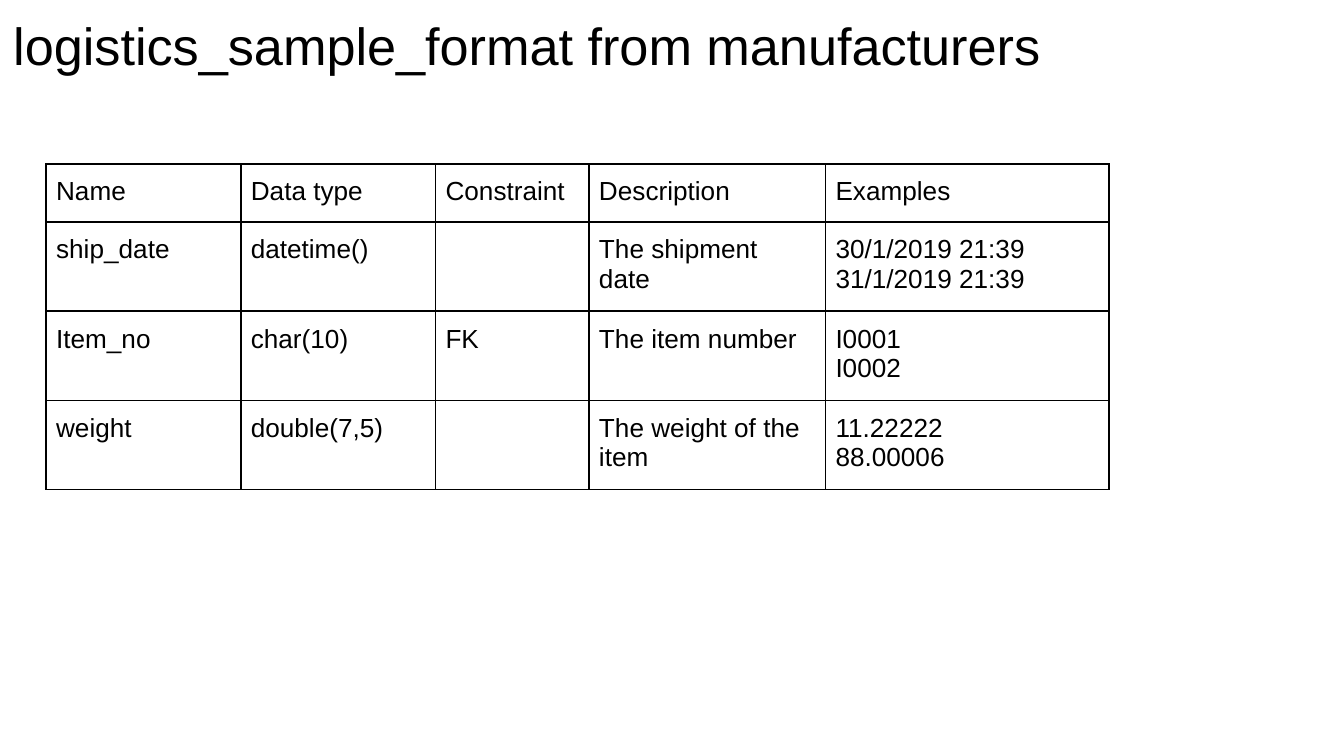
from lxml.etree import SubElement
from pptx import Presentation
from pptx.dml.color import RGBColor
from pptx.enum.text import MSO_ANCHOR
from pptx.oxml.ns import qn
from pptx.util import Cm, Pt

COLORS = {"ink": "000000", "paper": "FFFFFF"}
FONT = "Arial"
COLUMN_WIDTHS = [3.68, 3.68, 2.9, 4.47, 5.36]
ROW_HEIGHTS = [1.07, 1.62, 1.62, 1.62]
# Each cell is a list of paragraphs; "\n" is a line break within one.
FIELDS = [
    [["Name"], ["Data type"], ["Constraint"], ["Description"], ["Examples"]],
    [["ship_date"], ["datetime()"], [], ["The shipment date"],
     ["30/1/2019 21:39", "31/1/2019 21:39"]],
    [["Item_no"], ["char(10)"], ["FK"], ["The item number"], ["I0001\nI0002"]],
    [["weight"], ["double(7,5)"], [], ["The weight of the item"],
     ["11.22222", "88.00006"]],
]


def write(frame, paragraphs, size):
    """Fill a text frame with paragraphs in the slide's font."""
    for index, text in enumerate(paragraphs):
        paragraph = frame.add_paragraph() if index else frame.paragraphs[0]
        for number, line in enumerate(text.split("\n")):
            if number:
                paragraph.add_line_break()
            run = paragraph.add_run()
            run.text = line
            run.font.name = FONT
            run.font.size = Pt(size)
            run.font.color.rgb = RGBColor.from_string(COLORS["ink"])


def outline(cell):
    """Draw a one-point border on all four sides of a cell."""
    properties = cell._tc.get_or_add_tcPr()
    for position, side in enumerate(("lnL", "lnR", "lnT", "lnB")):
        border = SubElement(properties, qn(f"a:{side}"), w=str(Pt(1)))
        properties.insert(position, border)
        fill = SubElement(border, qn("a:solidFill"))
        SubElement(fill, qn("a:srgbClr"), val=COLORS["ink"])


def add_title(slide, left, top, width, height):
    """Place the slide title in the given box."""
    frame = slide.shapes.add_textbox(left, top, width, height).text_frame
    frame.word_wrap = True
    frame.vertical_anchor = MSO_ANCHOR.TOP
    frame.margin_left = frame.margin_right = Cm(0.25)
    frame.margin_top = frame.margin_bottom = Cm(0.25)
    write(frame, ["logistics_sample_format from manufacturers"], 28)


def add_field_table(slide, left, top):
    """Place the table of data fields with its corner at left, top."""
    table = slide.shapes.add_table(
        len(FIELDS), len(COLUMN_WIDTHS), left, top,
        Cm(sum(COLUMN_WIDTHS)), Cm(sum(ROW_HEIGHTS))).table
    table.first_row = table.horz_banding = False
    for column, width in zip(table.columns, COLUMN_WIDTHS):
        column.width = Cm(width)
    for row, height, field in zip(table.rows, ROW_HEIGHTS, FIELDS):
        row.height = Cm(height)
        for cell, paragraphs in zip(row.cells, field):
            cell.fill.background()
            cell.margin_left = cell.margin_right = Cm(0.19)
            cell.margin_top = cell.margin_bottom = Cm(0.25)
            outline(cell)
            write(cell.text_frame, paragraphs, 14)


def build():
    """Build and save the presentation."""
    deck = Presentation()
    deck.slide_width, deck.slide_height = Cm(25.4), Cm(14.29)
    slide = deck.slides.add_slide(deck.slide_layouts[6])
    slide.background.fill.solid()
    slide.background.fill.fore_color.rgb = RGBColor.from_string(COLORS["paper"])
    add_title(slide, Cm(0), Cm(0), Cm(23.67), Cm(1.6))
    add_field_table(slide, Cm(0.87), Cm(3.1))
    deck.save("out.pptx")


build()
